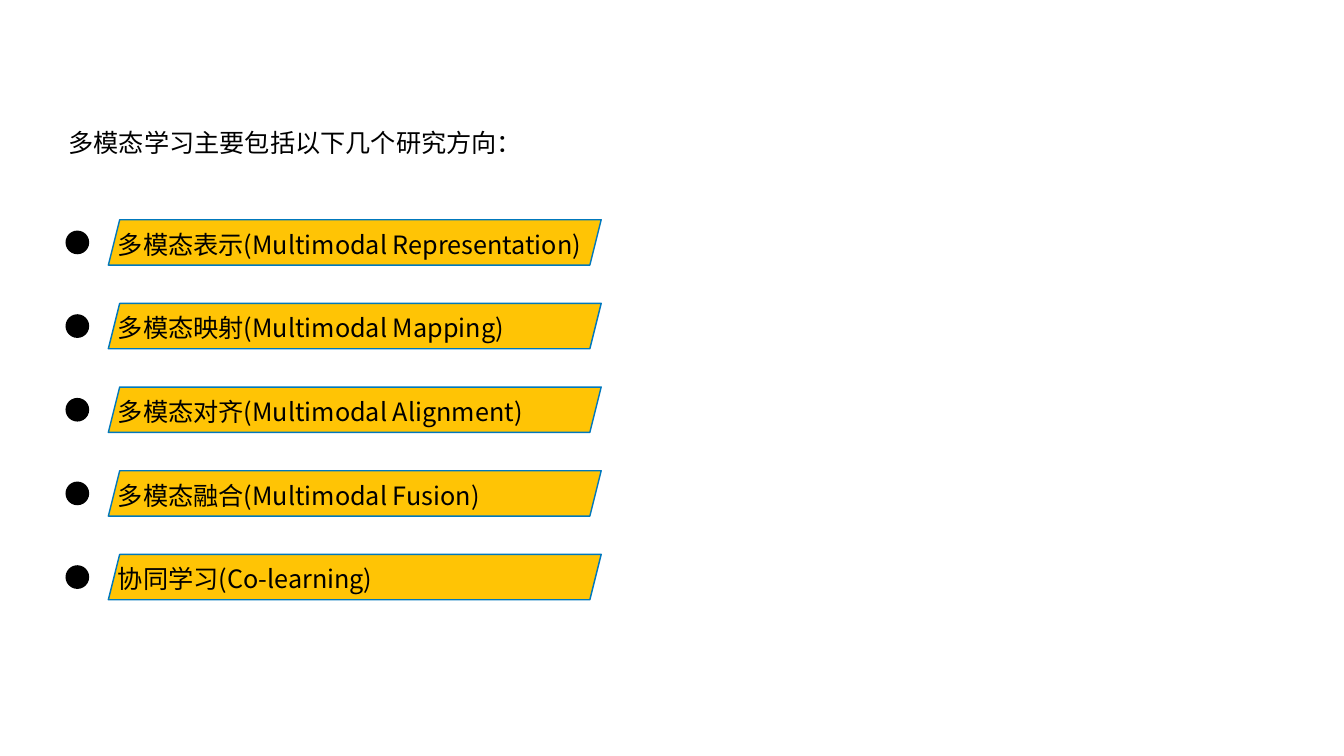
from lxml import etree
from pptx import Presentation
from pptx.dml.color import RGBColor
from pptx.enum.shapes import MSO_SHAPE
from pptx.enum.text import MSO_ANCHOR, MSO_AUTO_SIZE, PP_ALIGN
from pptx.oxml.ns import qn
from pptx.util import Inches, Pt

PARALLELOGRAM, OVAL = MSO_SHAPE.PARALLELOGRAM, MSO_SHAPE.OVAL
MIDDLE = MSO_ANCHOR.MIDDLE
FIT_SHAPE = MSO_AUTO_SIZE.SHAPE_TO_FIT_TEXT
LEFT, JUSTIFY = PP_ALIGN.LEFT, PP_ALIGN.JUSTIFY

FONT = "Noto Sans CJK SC"
BLACK, AMBER, BLUE = "000000", "FFC405", "0078BD"
WIDTH, HEIGHT = 26.67, 15
TEXT_HEIGHT = 0.72
DOT_SIZE = 0.47
ROW_PITCH, BAR_HEIGHT = 1.66, 0.9

HEADING = "多模态学习主要包括以下几个研究方向："
DIRECTIONS = [
    "多模态表示(Multimodal Representation)",
    "多模态映射(Multimodal Mapping)",
    "多模态对齐(Multimodal Alignment)",
    "多模态融合(Multimodal Fusion)",
    "协同学习(Co-learning)",
]


def color(value):
    """Turn a hex string into a colour."""
    return RGBColor.from_string(value)


def place(shape, left, top, width, height):
    """Move and size a shape, in inches."""
    shape.left, shape.top = Inches(left), Inches(top)
    shape.width, shape.height = Inches(width), Inches(height)


def write(shape, text, align, wrap):
    """Write one line of black text in a shape."""
    frame = shape.text_frame
    frame.text = text
    frame.word_wrap = wrap
    frame.auto_size = FIT_SHAPE
    frame.vertical_anchor = MIDDLE
    frame.margin_left = frame.margin_right = Inches(0.06)
    frame.margin_top = frame.margin_bottom = Inches(0.06)
    para = frame.paragraphs[0]
    para.alignment = align
    span = para.runs[0]
    span.font.size = Pt(36)
    span.font.color.rgb = color(BLACK)
    span.font.name = FONT
    east_asian = etree.SubElement(span.font._element, qn("a:ea"))
    east_asian.set("typeface", FONT)


def add_filled(page, preset, box, fill, outline=None):
    """Add a flat preset shape with an optional outline."""
    shape = page.shapes.add_shape(preset, *map(Inches, box))
    shape.shadow.inherit = False
    shape.fill.solid()
    shape.fill.fore_color.rgb = color(fill)
    if outline:
        shape.line.color.rgb = color(outline)
        shape.line.width = Pt(2)
    else:
        shape.line.fill.background()


def add_heading(page, left, top, width, height):
    """Place the opening sentence in the title placeholder."""
    title = page.shapes.title
    place(title, left, top, width, height)
    write(title, HEADING, JUSTIFY, False)


def add_direction(page, text, left, top, width, height):
    """Add a dot, a slanted bar and its label in one row."""
    bar_left = left + 0.85
    bar_width = width - 0.85
    dot_top = top + (height - DOT_SIZE) / 2
    label_top = top + (height - TEXT_HEIGHT) / 2 + 0.03
    add_filled(page, PARALLELOGRAM, (bar_left, top, bar_width, height), AMBER, BLUE)
    add_filled(page, OVAL, (left, dot_top, DOT_SIZE, DOT_SIZE), BLACK)
    label_box = (bar_left + 0.13, label_top, bar_width, TEXT_HEIGHT)
    label = page.shapes.add_textbox(*map(Inches, label_box))
    write(label, text, LEFT, True)


def add_directions(page, left, top, width):
    """Stack the research directions at an equal pitch."""
    for row, text in enumerate(DIRECTIONS):
        add_direction(page, text, left, top + row * ROW_PITCH, width, BAR_HEIGHT)


def main():
    """Build the deck and save it."""
    deck = Presentation()
    deck.slide_width, deck.slide_height = Inches(WIDTH), Inches(HEIGHT)
    page = deck.slides.add_slide(deck.slide_layouts[5])
    add_heading(page, 1.3, 2.46, 9.2, TEXT_HEIGHT)
    add_directions(page, 1.3, 4.36, 10.63)
    deck.save("out.pptx")


if __name__ == "__main__":
    main()
